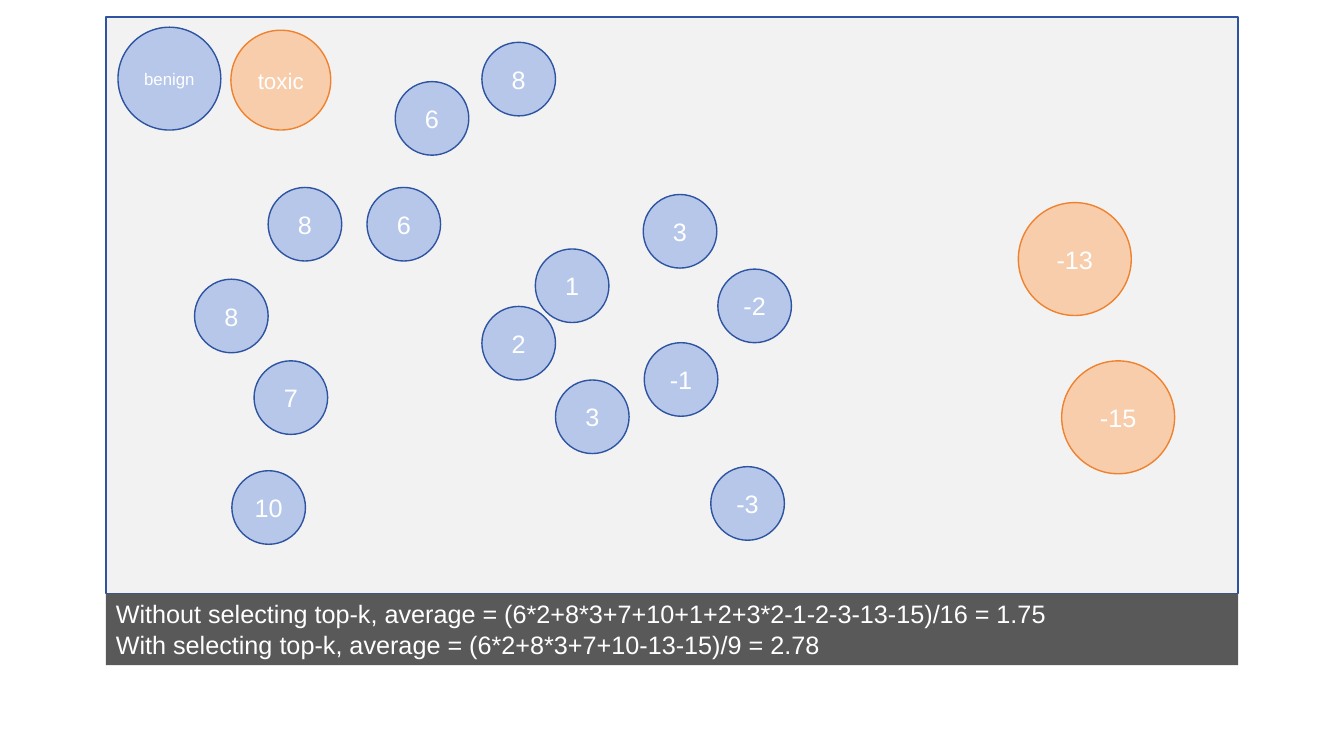
from dataclasses import dataclass

from pptx import Presentation
from pptx.dml.color import RGBColor
from pptx.enum.shapes import MSO_SHAPE
from pptx.enum.text import MSO_ANCHOR, PP_ALIGN
from pptx.util import Inches, Pt


@dataclass(frozen=True)
class Theme:
    font: str = "Arial"
    text: str = "FFFFFF"
    panel: str = "F2F2F2"
    caption: str = "595959"
    benign: tuple = ("B6C7EA", "2E54A1")  # fill, outline
    toxic: tuple = ("F8CDAC", "EE822F")
    body_size: int = 18
    toxic_label_size: int = 16
    benign_label_size: int = 12
    line_width: int = 1


THEME = Theme()
BENIGN_SIZE, TOXIC_SIZE = 0.73, 1.12

# Score, then left and top within the panel
BENIGN_SCORES = [
    ("6", 2.87, 0.64), ("8", 3.73, 0.25), ("8", 1.61, 1.69), ("6", 2.59, 1.69),
    ("8", 0.88, 2.6), ("7", 1.47, 3.41), ("10", 1.25, 4.5),
    ("1", 4.26, 2.3), ("2", 3.73, 2.87), ("3", 4.46, 3.6), ("-1", 5.34, 3.23),
    ("3", 5.33, 1.76), ("-2", 6.07, 2.5), ("-3", 6, 4.46),
]
TOXIC_SCORES = [("-13", 9.05, 1.84), ("-15", 9.48, 3.41)]

CAPTION = [
    "Without selecting top-k, average = (6*2+8*3+7+10+1+2+3*2-1-2-3-13-15)/16 = 1.75",
    "With selecting top-k, average = (6*2+8*3+7+10-13-15)/9 = 2.78",
]


def add_filled(s, kind, box, fill, line=None):
    """Add a flat shape; without a line colour it has no outline."""
    sp = s.shapes.add_shape(kind, *(Inches(v) for v in box))
    sp.shadow.inherit = False
    sp.fill.solid()
    sp.fill.fore_color.rgb = RGBColor.from_string(fill)
    if line:
        sp.line.color.rgb = RGBColor.from_string(line)
        sp.line.width = Pt(THEME.line_width)
    else:
        sp.line.fill.background()
    return sp


def write(sp, lines, size, align, anchor):
    tf = sp.text_frame
    tf.word_wrap = True
    tf.vertical_anchor = anchor
    tf.text = "\n".join(lines)
    for p in tf.paragraphs:
        p.alignment = align
        p.font.name = THEME.font
        p.font.size = Pt(size)
        p.font.color.rgb = RGBColor.from_string(THEME.text)


def add_circle(s, text, left, top, diameter, colors, size=THEME.body_size):
    sp = add_filled(s, MSO_SHAPE.OVAL, (left, top, diameter, diameter), *colors)
    write(sp, [text], size, PP_ALIGN.CENTER, MSO_ANCHOR.MIDDLE)


def add_legend(s, left, top):
    add_circle(s, "benign", left, top, 1.02, THEME.benign, THEME.benign_label_size)
    add_circle(s, "toxic", left + 1.12, top + 0.03, 0.99, THEME.toxic,
               THEME.toxic_label_size)


def add_score_panel(s, box):
    left, top = box[:2]
    add_filled(s, MSO_SHAPE.RECTANGLE, box, THEME.panel, THEME.benign[1])
    add_legend(s, left + 0.12, top + 0.1)
    for scores, diameter, colors in (
        (BENIGN_SCORES, BENIGN_SIZE, THEME.benign),
        (TOXIC_SCORES, TOXIC_SIZE, THEME.toxic),
    ):
        for score, dx, dy in scores:
            add_circle(s, score, left + dx, top + dy, diameter, colors)


def add_caption(s, box):
    sp = add_filled(s, MSO_SHAPE.RECTANGLE, box, THEME.caption)
    write(sp, CAPTION, THEME.body_size, PP_ALIGN.LEFT, MSO_ANCHOR.TOP)


def main():
    prs = Presentation()
    prs.slide_width, prs.slide_height = Inches(13.33), Inches(7.5)
    s = prs.slides.add_slide(prs.slide_layouts[6])
    left, top, width, height = 1.05, 0.17, 11.23, 5.72
    add_score_panel(s, (left, top, width, height))
    add_caption(s, (left, top + height, width, 0.71))
    prs.save("out.pptx")


if __name__ == "__main__":
    main()
